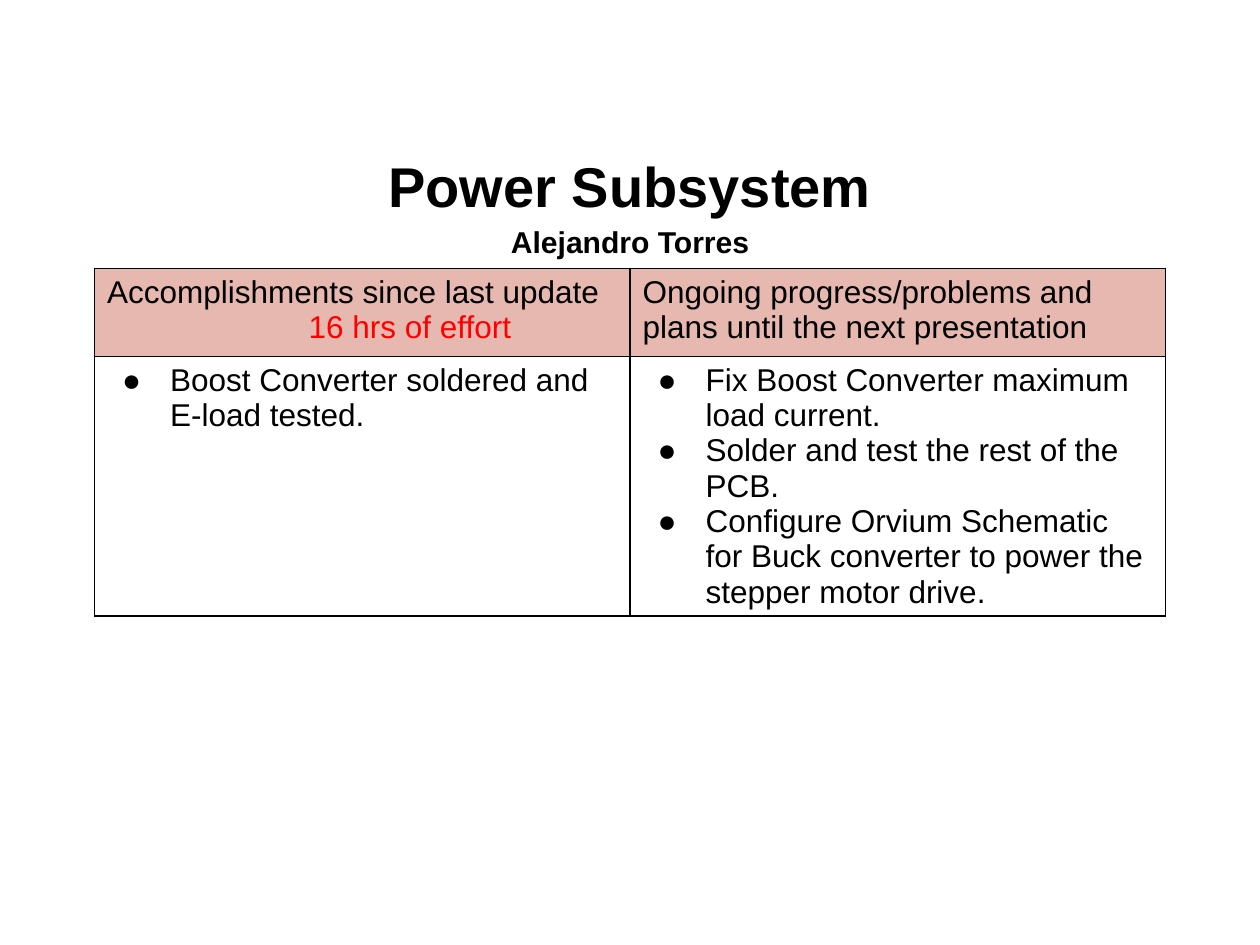
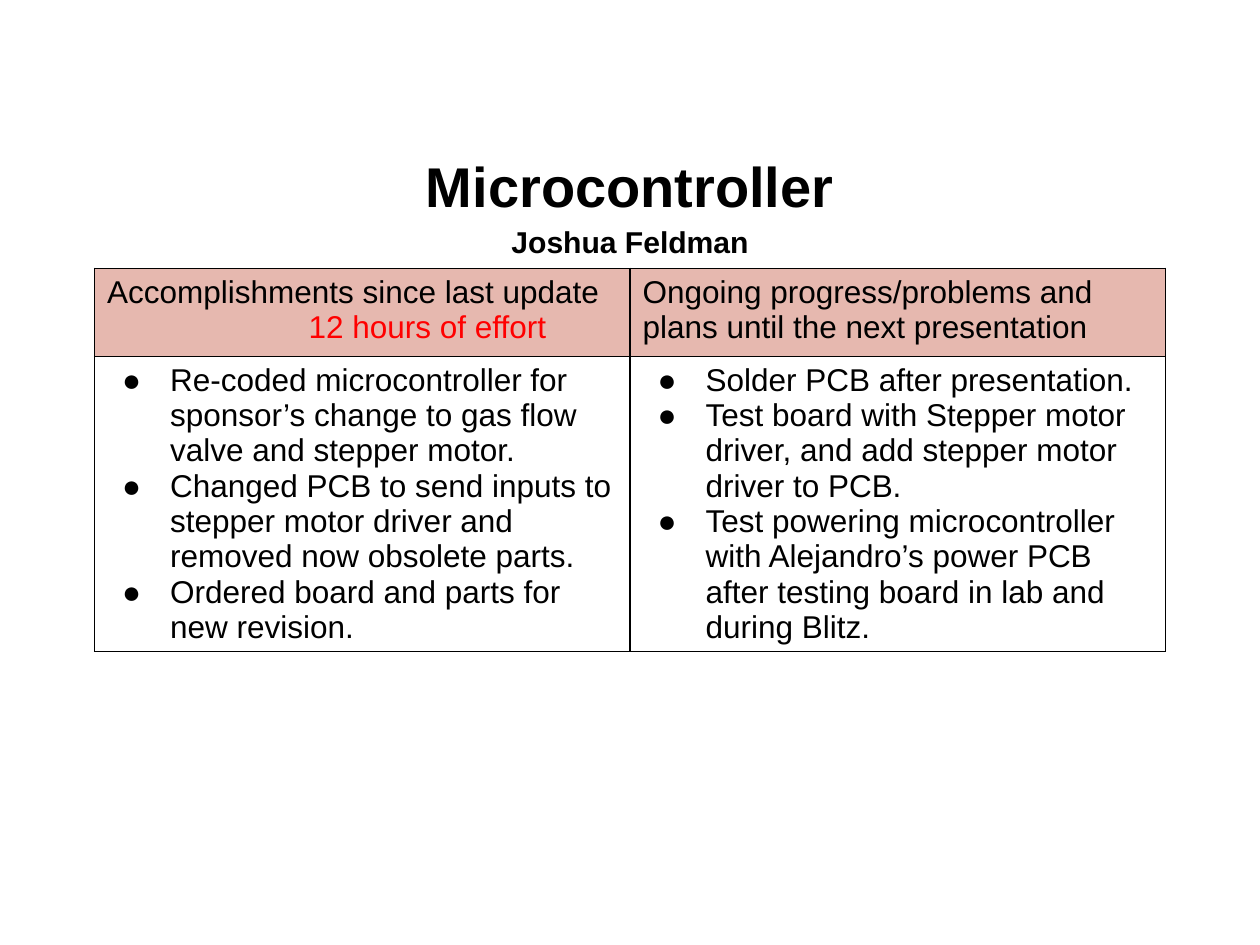
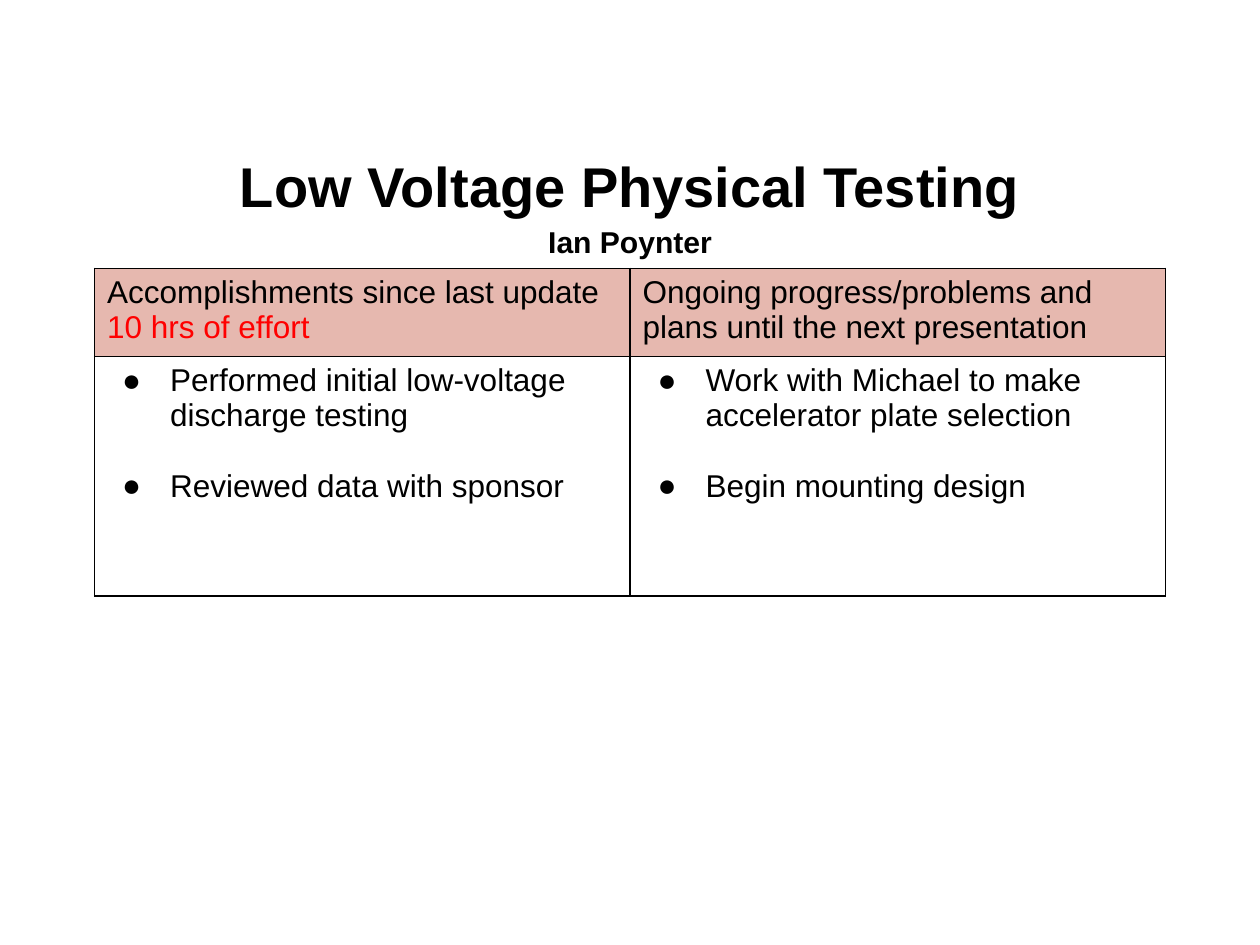
import pptx
import pptx.dml.color
import pptx.enum.text
import pptx.oxml.ns
import pptx.util
from lxml import etree

Inches = pptx.util.Inches
Pt = pptx.util.Pt
RGBColor = pptx.dml.color.RGBColor

BLACK = RGBColor(0, 0, 0)
RED = RGBColor(0xFF, 0, 0)
HEADER_PINK = RGBColor(0xE6, 0xB8, 0xAF)
FONT = "Arial"
TEXT_SIZE = 18

DONE_HEADING = "Accomplishments since last update"
PLANS_HEADING = "Ongoing progress/problems and plans until the next presentation"

UPDATES = [
    {
        "topic": "Power Subsystem",
        "presenter": "Alejandro Torres",
        "effort": "16 hrs of effort",
        "effort_indent": 1.6,
        "bullet_gap": 0,
        "done": ["Boost Converter soldered and E-load tested."],
        "plans": [
            "Fix Boost Converter maximum load current.",
            "Solder and test the rest of the PCB.",
            "Configure Orvium Schematic for Buck converter to power the stepper motor drive.",
        ],
    },
    {
        "topic": "Microcontroller",
        "presenter": "Joshua Feldman",
        "effort": "12 hours of effort",
        "effort_indent": 1.6,
        "bullet_gap": 0,
        "done": [
            "Re-coded microcontroller for sponsor’s change to gas flow valve and stepper motor.",
            "Changed PCB to send inputs to stepper motor driver and removed now obsolete parts.",
            "Ordered board and parts for new revision.",
        ],
        "plans": [
            "Solder PCB after presentation.",
            "Test board with Stepper motor driver, and add stepper motor driver to PCB.",
            "Test powering microcontroller with Alejandro’s power PCB after testing board in lab "
            "and during Blitz.",
        ],
    },
    {
        "topic": "Low Voltage Physical Testing",
        "presenter": "Ian Poynter",
        "effort": "10 hrs of effort",
        "effort_indent": 0,
        "bullet_gap": 20,
        "done": [
            "Performed initial low-voltage discharge testing",
            "Reviewed data with sponsor",
        ],
        "plans": [
            "Work with Michael to make accelerator plate selection",
            "Begin mounting design",
        ],
    },
]


def add_element(parent, tag, **attributes):
    return etree.SubElement(parent, pptx.oxml.ns.qn(tag), attributes)


def add_color(parent, color):
    add_element(parent, "a:srgbClr", val=str(color))


def format_font(paragraph, size, color=BLACK, bold=False):
    font = paragraph.font
    font.name = FONT
    font.size = Pt(size)
    font.bold = bold
    font.color.rgb = color


def write_lines(text_frame, lines):
    text_frame.text = "\n".join(lines)
    return text_frame.paragraphs


def indent(paragraph, left, first_line=0):
    properties = paragraph._p.get_or_add_pPr()
    properties.set("marL", str(Inches(left)))
    properties.set("indent", str(Inches(first_line)))
    return properties


def add_title(slide, topic, presenter):
    title = slide.shapes.title
    title.left, title.top = Inches(0.5), Inches(1.15)
    title.width, title.height = Inches(9), Inches(0.88)
    text_frame = title.text_frame
    text_frame.auto_size = pptx.enum.text.MSO_AUTO_SIZE.NONE
    text_frame.vertical_anchor = pptx.enum.text.MSO_ANCHOR.MIDDLE
    for paragraph, size in zip(write_lines(text_frame, [topic, presenter]), (32, 17.2)):
        paragraph.alignment = pptx.enum.text.PP_ALIGN.CENTER
        paragraph.line_spacing = 1.15
        format_font(paragraph, size, bold=True)


def add_borders(cell):
    properties = cell._tc.get_or_add_tcPr()
    for side in ("a:lnL", "a:lnR", "a:lnT", "a:lnB"):
        line = add_element(properties, side, w=str(Pt(1)))
        add_color(add_element(line, "a:solidFill"), BLACK)


def fill_header(cell, lines):
    cell.fill.solid()
    cell.fill.fore_color.rgb = HEADER_PINK
    paragraphs = write_lines(cell.text_frame, lines)
    for paragraph in paragraphs:
        format_font(paragraph, TEXT_SIZE)
    return paragraphs


def fill_bullets(cell, items, gap):
    cell.fill.background()
    for position, paragraph in enumerate(write_lines(cell.text_frame, items)):
        properties = indent(paragraph, 0.5, -0.38)
        add_color(add_element(properties, "a:buClr"), BLACK)
        add_element(properties, "a:buFont", typeface=FONT)
        add_element(properties, "a:buChar", char="●")
        if position:
            paragraph.space_before = Pt(gap)
        format_font(paragraph, TEXT_SIZE)


def add_update_table(slide, update):
    frame = slide.shapes.add_table(2, 2, Inches(0.75), Inches(2.13), Inches(8.5), Inches(2.6))
    table = frame.table
    table.first_row = False
    table.horz_banding = False
    table.rows[0].height = Inches(0.7)
    table.rows[1].height = Inches(1.9)
    for cell in table.iter_cells():
        add_borders(cell)

    effort = fill_header(table.cell(0, 0), [DONE_HEADING, update["effort"]])[1]
    effort.font.color.rgb = RED
    indent(effort, update["effort_indent"])
    fill_header(table.cell(0, 1), [PLANS_HEADING])
    for column, key in enumerate(("done", "plans")):
        fill_bullets(table.cell(1, column), update[key], update["bullet_gap"])


def main():
    presentation = pptx.Presentation()
    presentation.slide_width = Inches(10)
    presentation.slide_height = Inches(7.5)
    title_only = presentation.slide_layouts[5]
    for update in UPDATES:
        slide = presentation.slides.add_slide(title_only)
        add_title(slide, update["topic"], update["presenter"])
        add_update_table(slide, update)
    presentation.save("out.pptx")


if __name__ == "__main__":
    main()
